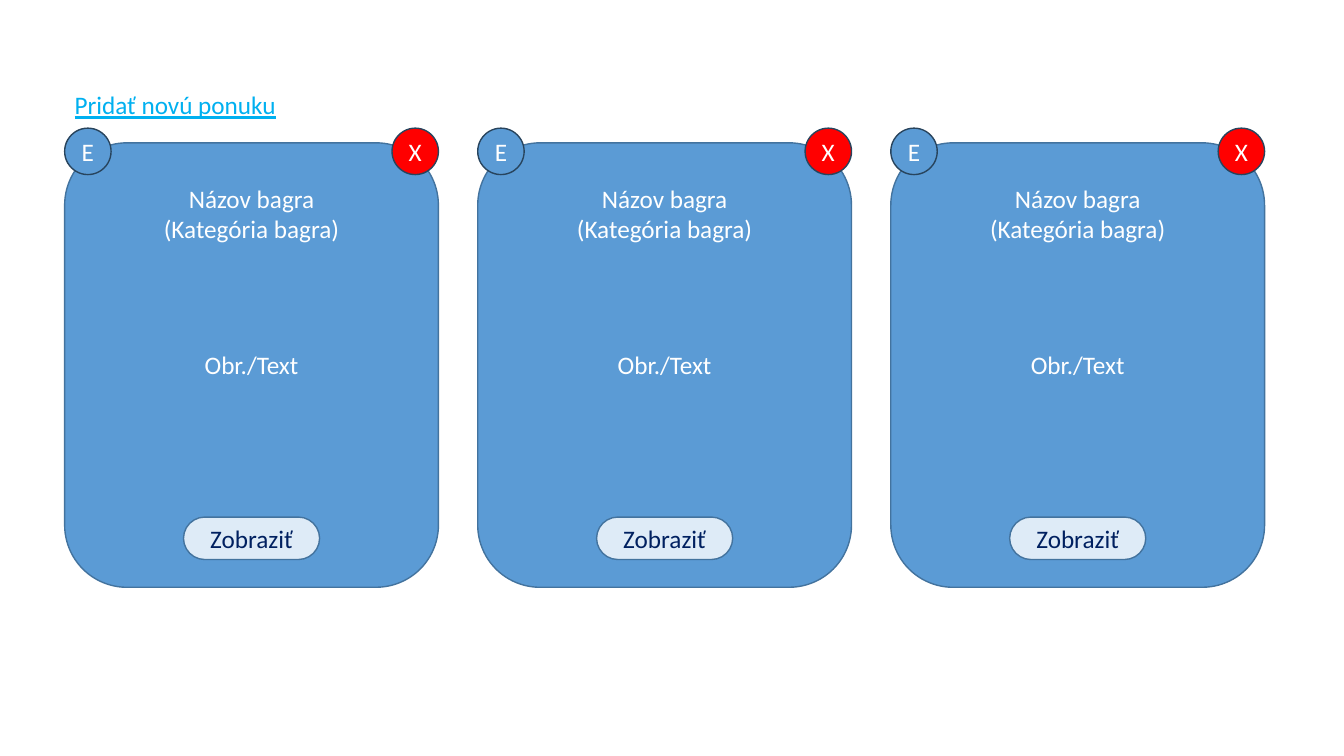
import pptx
import pptx.util
import pptx.dml.color
import pptx.enum.shapes
import pptx.enum.text

Cm = pptx.util.Cm
Pt = pptx.util.Pt
MSO = pptx.enum.shapes.MSO_SHAPE
ALIGN = pptx.enum.text.PP_ALIGN
ANCHOR = pptx.enum.text.MSO_ANCHOR


def rgb(value):
    return pptx.dml.color.RGBColor.from_string(value)


def add_box(slide, x, y, w, h, text="", color="FFFFFF", kind=None, fill=None,
            line=None, align=ALIGN.CENTER):
    """Add a preset shape, or a text box when no kind is given."""
    box = (Cm(x), Cm(y), Cm(w), Cm(h))
    if kind is None:
        sp = slide.shapes.add_textbox(*box)
        sp.text_frame.auto_size = pptx.enum.text.MSO_AUTO_SIZE.SHAPE_TO_FIT_TEXT
    else:
        sp = slide.shapes.add_shape(kind, *box)
        sp.shadow.inherit = False
        sp.fill.solid()
        sp.fill.fore_color.rgb = rgb(fill)
        sp.line.color.rgb = rgb(line)
        sp.line.width = Pt(1)
        sp.text_frame.vertical_anchor = ANCHOR.MIDDLE
    tf = sp.text_frame
    tf.word_wrap = False
    p = tf.paragraphs[0]
    p.text = text
    p.alignment = align
    for r in p.runs:
        r.font.name = "Calibri"
        r.font.size = Pt(18)
        r.font.color.rgb = rgb(color)
    return sp


prs = pptx.Presentation()
prs.slide_width = Cm(33.87)
prs.slide_height = Cm(19.05)
s = prs.slides.add_slide(prs.slide_layouts[6])

# Card grid
left, pitch = 1.63, 10.5 - 0.09
card_w, card_h = 9.42, 11.2
button_w, badge = 3.43, 1.17
title_w, content_w = 4.98, 2.9

# Link above the cards
sp = add_box(s, left, 2.13, 5.64, 1.02, "Pridať novú ponuku", "00B0F0",
             align=ALIGN.LEFT)
sp.text_frame.paragraphs[0].runs[0].font.underline = True

for i in range(3):
    x = left + i * pitch
    center = x + card_w / 2

    # Card with its title and content
    add_box(s, x, 3.6, card_w, card_h, kind=MSO.ROUNDED_RECTANGLE,
            fill="5B9BD5", line="43739E")
    add_box(s, center - title_w / 2, 4.5, title_w, 1.8,
            "Názov bagra\n(Kategória bagra)")
    add_box(s, center - content_w / 2, 8.69, content_w, 1.02, "Obr./Text")

    # Show button
    sp = add_box(s, center - button_w / 2, 13.03, button_w, 1.07, "Zobraziť",
                 "002060", MSO.ROUNDED_RECTANGLE, "DEEBF7", "43739E")
    sp.adjustments[0] = 0.5

    # Edit and delete badges on the upper corners
    for badge_x, letter, fill in ((x, "E", "5B9BD5"),
                                  (x + card_w - badge, "X", "FF0000")):
        add_box(s, badge_x, 3.23, badge, badge, letter, kind=MSO.OVAL,
                fill=fill, line="28445D")

prs.save("out.pptx")
